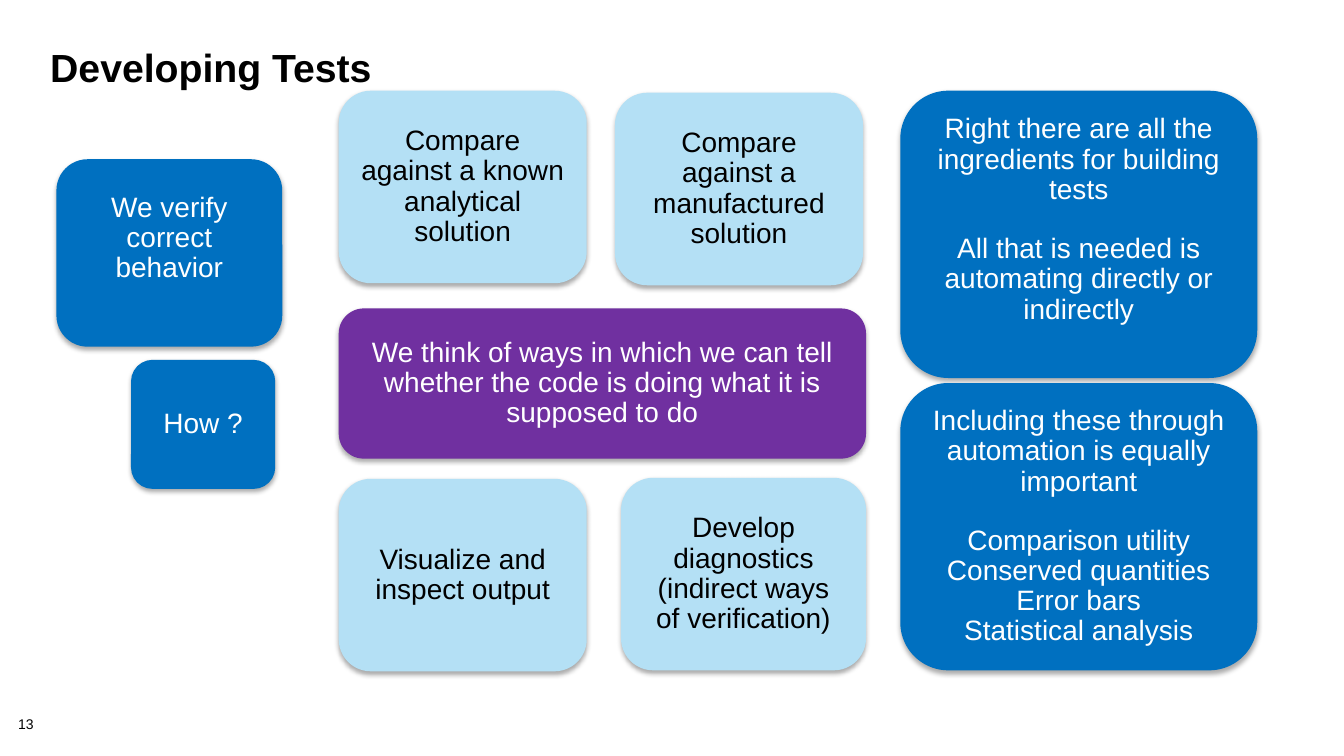
"""Build the Developing Tests slide."""
from lxml import etree
from pptx import Presentation
from pptx.dml.color import RGBColor
from pptx.enum.shapes import MSO_SHAPE
from pptx.enum.text import MSO_ANCHOR, PP_ALIGN
from pptx.oxml.ns import qn
from pptx.util import Inches, Pt

ROUNDED = MSO_SHAPE.ROUNDED_RECTANGLE
TOP, MIDDLE = MSO_ANCHOR.TOP, MSO_ANCHOR.MIDDLE
LEFT, CENTER = PP_ALIGN.LEFT, PP_ALIGN.CENTER

BLACK, WHITE = "000000", "FFFFFF"
BLUE, PURPLE, PALE = "0070C0", "7030A0", "B4E0F5"
FONT = "Arial"
LINE_GAP = 20.7

CARDS = [
    ((0.56, 1.58, 2.24, 1.86), BLUE, WHITE,
     ["We verify correct behavior"], {"lift": LINE_GAP}),
    ((3.36, 3.06, 5.23, 1.49), PURPLE, WHITE,
     ["We think of ways in which we can tell whether the code is doing "
      "what it is supposed to do"], {}),
    ((3.36, 0.9, 2.46, 1.91), PALE, BLACK,
     ["Compare against a known analytical solution"], {}),
    ((6.1, 0.92, 2.46, 1.91), PALE, BLACK,
     ["Compare against a manufactured solution"], {}),
    ((1.3, 3.57, 1.43, 1.28), BLUE, WHITE, ["How ?"], {}),
    ((3.36, 4.75, 2.46, 1.91), PALE, BLACK,
     ["Visualize and inspect output"], {}),
    ((6.16, 4.74, 2.43, 1.91), PALE, BLACK,
     ["Develop diagnostics", "(indirect ways of verification)"], {}),
    ((8.93, 0.9, 3.54, 2.85), BLUE, WHITE,
     ["Right there are all the ingredients for building tests",
      "All that is needed is automating directly or indirectly"],
     {"gap": LINE_GAP, "lift": LINE_GAP}),
    ((8.93, 3.8, 3.54, 2.85), BLUE, WHITE,
     ["Including these through automation is equally important",
      "Comparison utility", "Conserved quantities", "Error bars",
      "Statistical analysis"], {"gap": LINE_GAP}),
]


def rgb(color):
    """Return the colour of a hex string."""
    return RGBColor.from_string(color)


def write_text(sp, lines, size=20, color=BLACK, bold=False, align=LEFT,
               anchor=TOP, spacing=0.9, inset=(0.1, 0.05), gap=0, lift=0):
    """Write paragraphs, with a gap after the first and a lift in points."""
    tf = sp.text_frame
    tf.word_wrap = True
    tf.vertical_anchor = anchor
    tf.margin_left = tf.margin_right = Inches(inset[0])
    tf.margin_top = Inches(inset[1])
    tf.margin_bottom = Inches(inset[1]) + Pt(lift)
    for i, line in enumerate(lines):
        p = tf.add_paragraph() if i else tf.paragraphs[0]
        p.alignment = align
        p.line_spacing = spacing
        if i == 1 and gap:
            p.space_before = Pt(gap)
        r = p.add_run()
        r.text = line
        r.font.name = FONT
        r.font.size = Pt(size)
        r.font.bold = bold
        r.font.color.rgb = rgb(color)


def add_label(s, box, text, **style):
    """Add a text box with one line of text."""
    sp = s.shapes.add_textbox(*map(Inches, box))
    write_text(sp, [text], **style)


def add_shadow(sp):
    """Give a shape a soft shadow below it."""
    sp.shadow.inherit = False
    effects = sp._element.spPr.find(qn("a:effectLst"))
    shadow = etree.SubElement(
        effects, qn("a:outerShdw"), blurRad=str(Pt(3.5)), dist=str(Pt(2.2)),
        dir="5400000", rotWithShape="0")
    color = etree.SubElement(shadow, qn("a:srgbClr"), val=BLACK)
    etree.SubElement(color, qn("a:alpha"), val="32000")


def add_card(s, box, fill, color, lines, **style):
    """Add a rounded card with centred text."""
    sp = s.shapes.add_shape(ROUNDED, *map(Inches, box))
    sp.fill.solid()
    sp.fill.fore_color.rgb = rgb(fill)
    sp.line.fill.background()
    add_shadow(sp)
    write_text(sp, lines, color=color, align=CENTER, anchor=MIDDLE,
               inset=(0.13, 0.07), **style)


def main():
    """Build and save the slide."""
    prs = Presentation()
    prs.slide_width, prs.slide_height = Inches(13.33), Inches(7.5)
    s = prs.slides.add_slide(prs.slide_layouts[6])
    add_label(s, (0.18, 7.12, 0.56, 0.16), "13", size=10, inset=(0, 0))
    add_label(s, (0.4, 0.45, 12.44, 1), "Developing Tests", size=28,
              bold=True, spacing=0.85)
    for box, fill, color, lines, style in CARDS:
        add_card(s, box, fill, color, lines, **style)
    prs.save("out.pptx")


if __name__ == "__main__":
    main()
